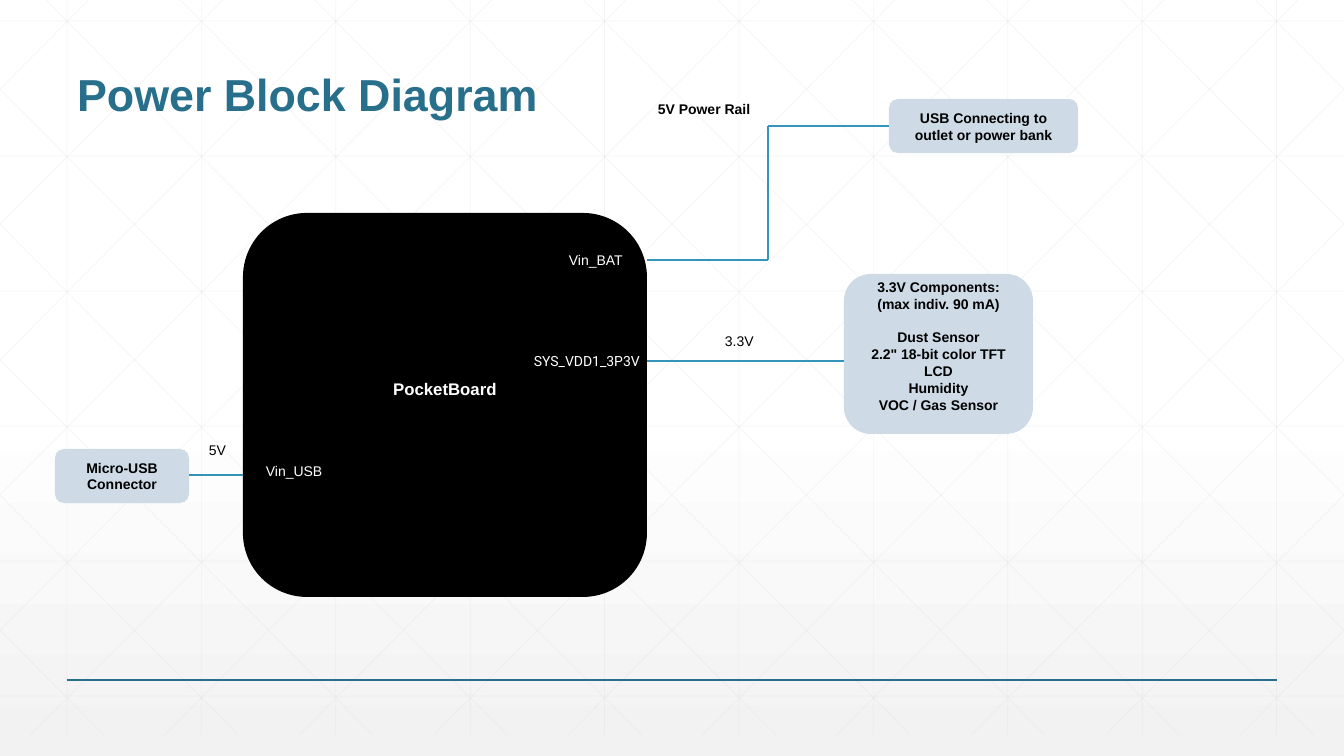
from lxml import etree
from pptx import Presentation
from pptx import util as u
from pptx.dml.color import RGBColor
from pptx.enum import shapes, text
from pptx.oxml import parse_xml
from pptx.oxml.ns import nsdecls, qn

WIDE, HIGH = 1344, 756
SCALE = 12192000 / WIDE
TEAL = RGBColor(0x27, 0x6F, 0x8B)
WIRE = RGBColor(0x34, 0x94, 0xBA)
PALE = RGBColor(0xCE, 0xDB, 0xE6)
GRID = RGBColor(0xD9, 0xD9, 0xD9)
BLACK = RGBColor(0, 0, 0)
WHITE = RGBColor(0xFF, 0xFF, 0xFF)

TITLE = "Power Block Diagram"
CHIP = ((243, 213, 404, 384), ["PocketBoard"], BLACK, WHITE, 12, (5, 37))
BLOCKS = [
    CHIP,
    ((844, 274, 189, 160),
     ["3.3V Components:", "(max indiv. 90 mA)", "Dust Sensor",
      '2.2" 18-bit color TFT LCD', "Humidity", "VOC / Gas Sensor"],
     PALE, BLACK, 10, (0, 16)),
    ((889, 99, 189, 54), ["USB Connecting to outlet or power bank"],
     PALE, BLACK, 10, (5, 5)),
    ((55, 449, 134, 54), ["Micro-USB Connector"], PALE, BLACK, 10, (5, 5)),
]
GAPS = {"Dust Sensor": 11.5}
WIRES = [
    (647, 260, 768, 260),
    (768, 260, 768, 126),
    (768, 126, 889, 126),
    (647, 361, 844, 361),
    (189, 475, 243, 475),
]
LABELS = [
    ("SYS_VDD1_3P3V", 524, 348, 151, "Roboto", WHITE, False),
    ("Vin_BAT", 559, 247, 89, "Arial", WHITE, False),
    ("5V Power Rail", 648, 96, 219, "Arial", BLACK, True),
    ("3.3V", 715, 328, 89, "Arial", BLACK, False),
    ("Vin_USB", 256, 458, 89, "Arial", WHITE, False),
    ("5V", 199, 437, 89, "Arial", BLACK, False),
]

BACK = f"""<p:bg {nsdecls('p', 'a')}><p:bgPr><a:gradFill><a:gsLst>
<a:gs pos="0"><a:srgbClr val="FFFFFF"/></a:gs>
<a:gs pos="53000"><a:srgbClr val="FFFFFF"/></a:gs>
<a:gs pos="100000"><a:srgbClr val="F2F2F2"/></a:gs>
</a:gsLst><a:lin ang="5400000" scaled="0"/></a:gradFill><a:effectLst/></p:bgPr></p:bg>"""


def px(n):
    return u.Emu(round(n * SCALE))


def add_line(slide, ends, color, width, alpha=None):
    line = slide.shapes.add_connector(
        shapes.MSO_CONNECTOR.STRAIGHT, *[px(n) for n in ends])
    line.line.color.rgb = color
    line.line.width = u.Pt(width)
    props = line._element.spPr
    etree.SubElement(props, qn("a:effectLst"))
    if alpha:
        tint = props.find(".//" + qn("a:srgbClr"))
        etree.SubElement(tint, qn("a:alpha")).set("val", str(alpha * 1000))


def add_run(para, words, size, color, bold, face="Arial"):
    run = para.add_run()
    run.text = words
    font = run.font
    font.name, font.size, font.bold = face, u.Pt(size), bold
    font.color.rgb = color


def add_grid(slide):
    top, end, step, run = -21, 735, 134.4, 751
    lines = [(67 + step * i, 0, 67 + step * i, end) for i in range(10)]
    lines += [(0, 21 + 135 * i, WIDE, 21 + 135 * i) for i in range(6)]
    rate = (end - top) / run
    for i in range(-5, 10):
        start = 25 + step * i
        left = max(start - top / rate, 0)
        right = min(start + run, WIDE)
        y1, y2 = [top + (x - start) * rate for x in (left, right)]
        lines += [(left, y1, right, y2), (WIDE - left, y1, WIDE - right, y2)]
    for ends in lines:
        add_line(slide, ends, GRID, 0.5, 25)


def add_title(slide):
    title = slide.shapes.title
    slide.shapes._spTree.append(title._element)
    title.left, title.top, title.width, title.height = [
        px(n) for n in (67, 25, 1210, 101)]
    frame = title.text_frame
    frame.auto_size = text.MSO_AUTO_SIZE.NONE
    frame.vertical_anchor = text.MSO_ANCHOR.BOTTOM
    para = frame.paragraphs[0]
    para.alignment = text.PP_ALIGN.LEFT
    para.line_spacing = 0.9
    add_run(para, TITLE, 32, TEAL, True)


def add_block(slide, box, lines, fill, color, size, pads):
    block = slide.shapes.add_shape(
        shapes.MSO_SHAPE.ROUNDED_RECTANGLE, *[px(n) for n in box])
    block.shadow.inherit = False
    block.fill.solid()
    block.fill.fore_color.rgb = fill
    block.line.fill.background()
    frame = block.text_frame
    frame.word_wrap = True
    frame.vertical_anchor = text.MSO_ANCHOR.MIDDLE
    frame.margin_top, frame.margin_bottom = [px(n) for n in pads]
    for i, words in enumerate(lines):
        para = frame.add_paragraph() if i else frame.paragraphs[0]
        para.alignment = text.PP_ALIGN.CENTER
        if words in GAPS:
            para.space_before = u.Pt(GAPS[words])
        add_run(para, words, size, color, True)


def add_label(slide, words, x, y, width, face, color, bold):
    label = slide.shapes.add_textbox(px(x), px(y), px(width), px(27))
    frame = label.text_frame
    frame.word_wrap = True
    add_run(frame.paragraphs[0], words, 10, color, bold, face)


def main():
    deck = Presentation()
    deck.slide_width, deck.slide_height = px(WIDE), px(HIGH)
    slide = deck.slides.add_slide(deck.slide_layouts[5])
    slide._element.cSld.insert(0, parse_xml(BACK))
    add_grid(slide)
    add_line(slide, (67, 680, 1277, 680), TEAL, 1)
    add_title(slide)
    for block in BLOCKS:
        add_block(slide, *block)
    for ends in WIRES:
        add_line(slide, ends, WIRE, 2)
    for label in LABELS:
        add_label(slide, *label)
    deck.save("out.pptx")


if __name__ == "__main__":
    main()
